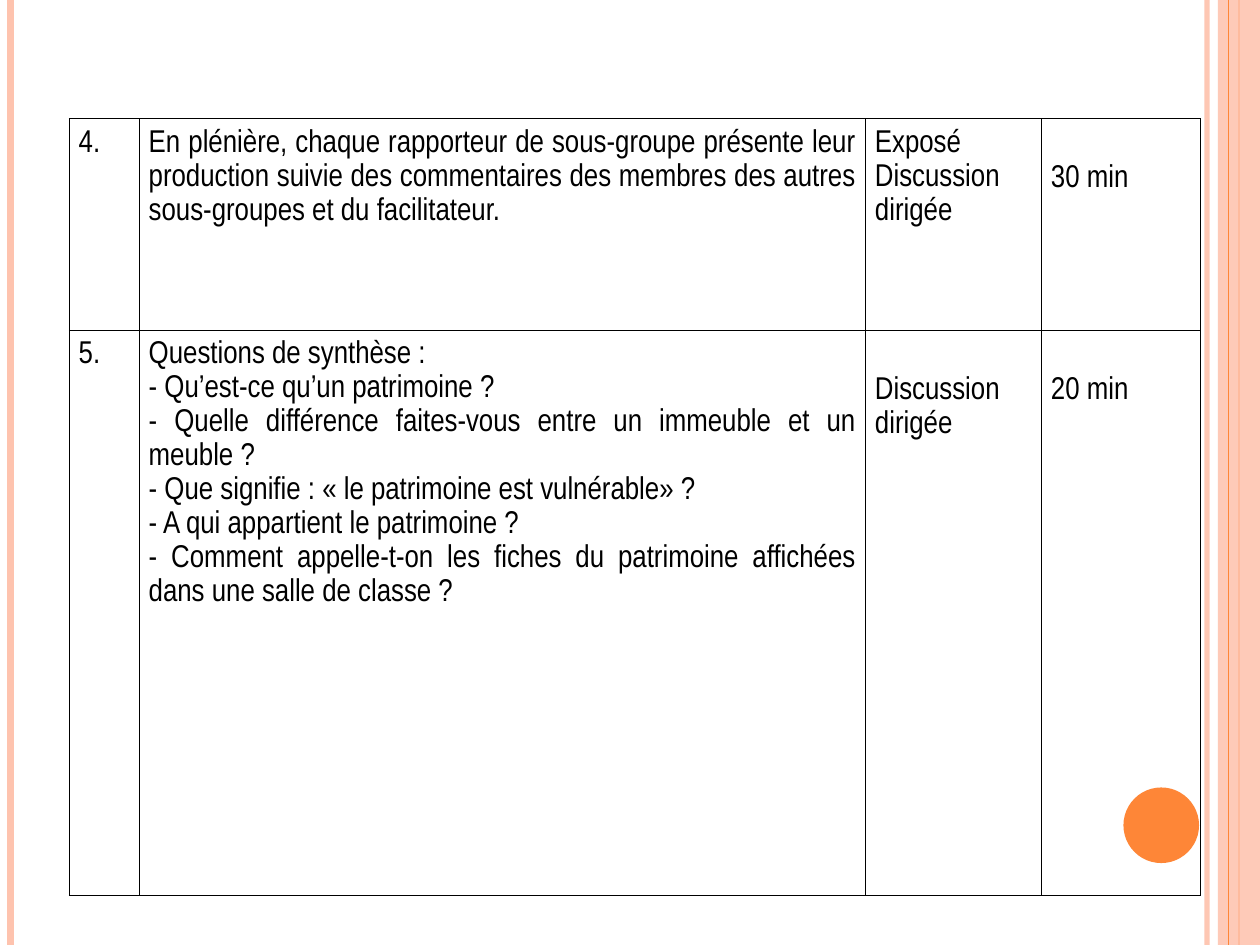
import pptx
import pptx.util
import pptx.dml.color
import pptx.enum.shapes
import pptx.enum.text
import pptx.oxml
import pptx.oxml.ns

Pt = pptx.util.Pt
KIND = pptx.enum.shapes.MSO_SHAPE
ALIGN = pptx.enum.text.PP_ALIGN
WIDE, HIGH = 720, 540
PEACH, ORANGE, BLACK = "FEC3AE", "FE8637", "000000"

# Each cell: its paragraphs, and whether the text starts one line lower
ROWS = [
    [(["4."], False),
     (["En plénière, chaque rapporteur de sous-groupe présente leur production "
       "suivie des commentaires des membres des autres sous-groupes et du "
       "facilitateur."], False),
     (["Exposé", "Discussion dirigée"], False),
     (["30 min"], True)],
    [(["5."], False),
     (["Questions de synthèse :",
       "- Qu’est-ce qu’un patrimoine ?",
       "- Quelle différence faites-vous entre un immeuble et un meuble ?",
       "- Que signifie : « le patrimoine est vulnérable» ?",
       "- A qui appartient le patrimoine ?",
       "- Comment appelle-t-on les fiches du patrimoine affichées dans une "
       "salle de classe ?"], False),
     (["Discussion dirigée"], True),
     (["20 min"], True)],
]


def paint(color, code, alpha=100):
    color.rgb = pptx.dml.color.RGBColor.from_string(code)
    if alpha < 100:
        tag = color._xFill[0]
        tag.append(pptx.oxml.parse_xml(
            f'<a:alpha {pptx.oxml.ns.nsdecls("a")} val="{alpha * 1000}"/>'))


def add_rule(slide, x, top, high, width, code, alpha=100):
    rule = slide.shapes.add_connector(
        pptx.enum.shapes.MSO_CONNECTOR.STRAIGHT,
        Pt(x), Pt(top), Pt(x), Pt(top + high))
    rule.line.width = Pt(width)
    rule.line.fill.solid()
    paint(rule.line.fill.fore_color, code, alpha)
    rule._element.spPr.append(pptx.oxml.parse_xml(
        f'<a:effectLst {pptx.oxml.ns.nsdecls("a")}/>'))


def add_form(slide, kind, box, code, alpha=100):
    form = slide.shapes.add_shape(kind, *[Pt(side) for side in box])
    form.shadow.inherit = False
    form.fill.solid()
    paint(form.fill.fore_color, code, alpha)
    form.line.fill.background()


def add_frame(slide, left, top, wide, high):
    """Stripes along both edges and the round badge."""
    right = left + wide
    add_rule(slide, right - 30.2, top, high, 3, PEACH, 93)
    add_rule(slide, left + 6, top, high, 4.5, PEACH)
    add_rule(slide, right - 12, top, high, 1.5, ORANGE)
    add_form(slide, KIND.RECTANGLE, (right - 24, top, 24, high), PEACH, 87)
    add_rule(slide, right - 18, top, high, 0.75, ORANGE)
    add_form(slide, KIND.OVAL, (right - 78, top + 450, 43.2, 43.2), ORANGE)


def edge_cell(cell, width, code):
    props = cell._tc.get_or_add_tcPr()
    for place, side in enumerate("LRTB"):
        props.insert(place, pptx.oxml.parse_xml(
            f'<a:ln{side} {pptx.oxml.ns.nsdecls("a")} w="{Pt(width)}">'
            f'<a:solidFill><a:srgbClr val="{code}"/></a:solidFill></a:ln{side}>'))


def fill_cell(cell, paras, lower):
    cell.fill.background()
    edge_cell(cell, 0.45, BLACK)
    cell.margin_left = cell.margin_right = Pt(5.4)
    cell.margin_top = Pt(24 if lower else 3.6)
    cell.margin_bottom = Pt(3.6)
    cell.text_frame.text = "\n".join(paras)
    for para in cell.text_frame.paragraphs:
        para.alignment = ALIGN.JUSTIFY
        para.line_spacing = 1.15
        for run in para.runs:
            run.font.name = "Arial Narrow"
            run.font.size = Pt(18)
            paint(run.font.color, BLACK)


def add_plan(slide, left, top, wide, high):
    """Table of the session's steps: number, task, method, time."""
    table = slide.shapes.add_table(
        2, 4, Pt(left), Pt(top), Pt(wide), Pt(high)).table
    table.first_row = table.horz_banding = False
    for col, part in zip(table.columns, (40, 415, 100.6, wide - 555.6)):
        col.width = Pt(part)
    for row, part in zip(table.rows, (121, high - 121)):
        row.height = Pt(part)
    for row, items in zip(table.rows, ROWS):
        for cell, (paras, lower) in zip(row.cells, items):
            fill_cell(cell, paras, lower)


def main():
    deck = pptx.Presentation()
    deck.slide_width, deck.slide_height = Pt(WIDE), Pt(HIGH)
    slide = deck.slides.add_slide(deck.slide_layouts[6])
    slide.background.fill.solid()
    paint(slide.background.fill.fore_color, "FFFFFF")
    add_frame(slide, 0, 0, WIDE, HIGH)
    add_plan(slide, 39.6, 67.7, 646.6, 444.2)
    deck.save("out.pptx")


if __name__ == "__main__":
    main()
